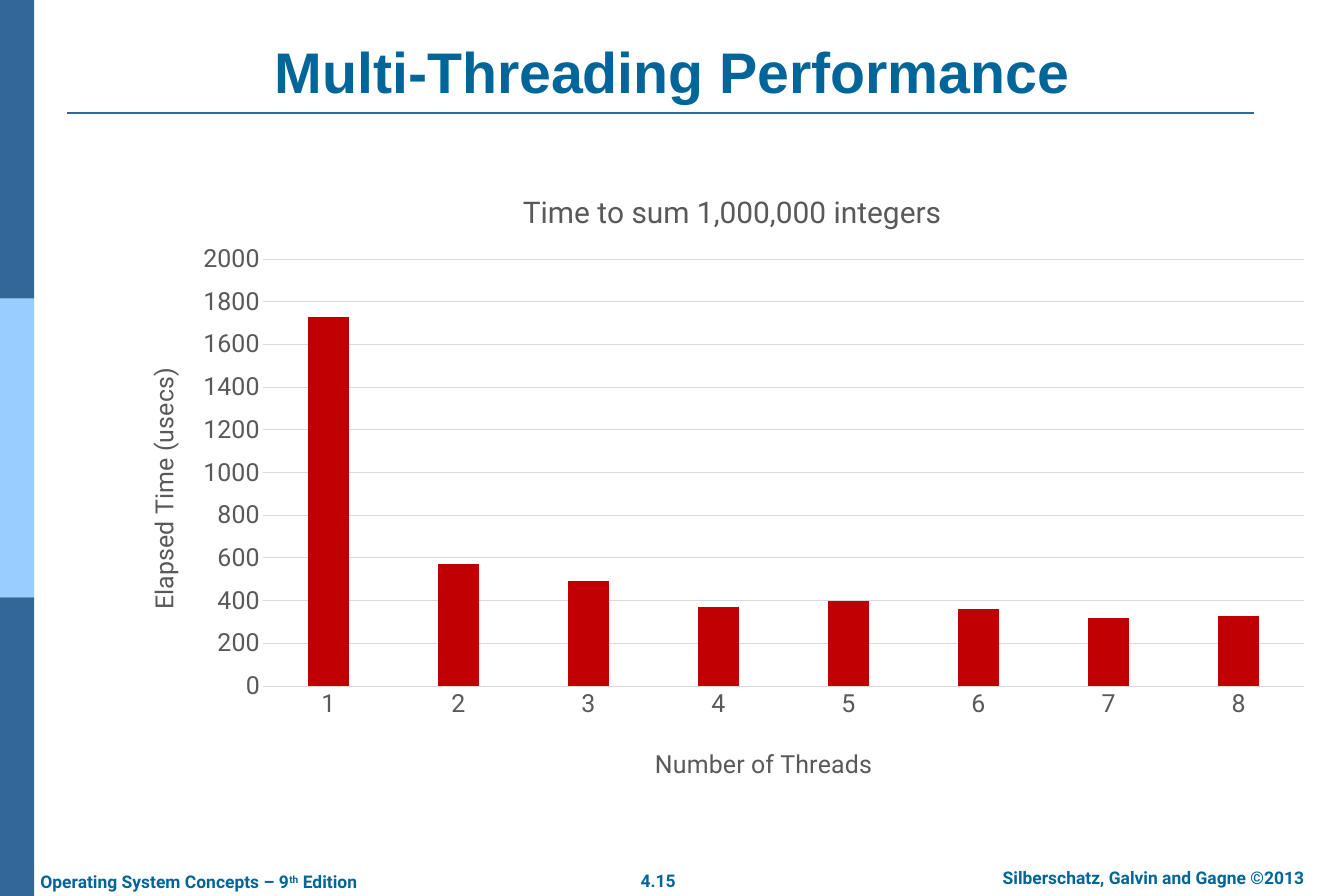
from lxml.etree import SubElement
from pptx import Presentation
from pptx.chart.data import CategoryChartData
from pptx.dml.color import RGBColor
from pptx.enum.chart import XL_CHART_TYPE, XL_TICK_MARK
from pptx.enum.shapes import MSO_CONNECTOR, MSO_SHAPE
from pptx.enum.text import MSO_ANCHOR, PP_ALIGN
from pptx.oxml import parse_xml
from pptx.oxml.ns import nsdecls, qn
from pptx.util import Inches, Pt

NAVY, SKY, TEAL = "336699", "99CCFF", "006699"
BAR_RED, LABEL_GRAY, GRID_GRAY = "C00000", "595959", "D9D9D9"
ELAPSED_TIMES = (1730, 570, 490, 370, 400, 360, 320, 330)


def color(hex_string):
    return RGBColor.from_string(hex_string)


def style_font(font, name, size, hex_color, bold=False):
    font.name = name
    font.size = Pt(size)
    font.bold = bold
    font.color.rgb = color(hex_color)


def style_line(line, hex_color, width):
    line.color.rgb = color(hex_color)
    line.width = Pt(width)


def set_margins(text_frame):
    text_frame.margin_left = text_frame.margin_right = Inches(0.14)
    text_frame.margin_top = text_frame.margin_bottom = Inches(0.07)


def add_side_bands(slide, slide_height):
    band_colors = (NAVY, SKY, NAVY)
    band_height = slide_height // len(band_colors)
    for index, hex_color in enumerate(band_colors):
        band = slide.shapes.add_shape(
            MSO_SHAPE.RECTANGLE, 0, index * band_height, Inches(0.38), band_height)
        band.shadow.inherit = False
        band.fill.solid()
        band.fill.fore_color.rgb = color(hex_color)
        band.line.fill.background()


def add_title_rule(slide):
    rule = slide.shapes.add_connector(
        MSO_CONNECTOR.STRAIGHT, Inches(0.75), Inches(1.26), Inches(14), Inches(1.26))
    style_line(rule.line, NAVY, 1.5)
    SubElement(rule.line._get_or_add_ln().getparent(), qn("a:effectLst"))


def format_title(slide, text):
    title = slide.shapes.title
    title.left, title.top = Inches(0.75), Inches(0.4)
    title.width, title.height = Inches(13.5), Inches(0.84)
    text_frame = title.text_frame
    set_margins(text_frame)
    text_frame.vertical_anchor = MSO_ANCHOR.BOTTOM
    text_frame.text = text
    paragraph = text_frame.paragraphs[0]
    paragraph.alignment = PP_ALIGN.CENTER
    style_font(paragraph.runs[0].font, "Arial", 46, TEAL, bold=True)


def add_footer(slide, left, top, width, runs, alignment, wrap=False):
    """Add footer text; runs are pairs of text and superscript flag."""
    box = slide.shapes.add_textbox(
        Inches(left), Inches(top), Inches(width), Inches(0.38))
    text_frame = box.text_frame
    text_frame.word_wrap = wrap
    set_margins(text_frame)
    paragraph = text_frame.paragraphs[0]
    paragraph.alignment = alignment
    for text, superscript in runs:
        run = paragraph.add_run()
        run.text = text
        style_font(run.font, "Roboto", 14, TEAL, bold=True)
        if superscript:
            run.font._element.set("baseline", "30000")


def set_layout(element, position, size=None):
    """Place a chart title or the inner plot area by fractions of the chart."""
    for layout in element.findall(qn("c:layout")):
        element.remove(layout)
    entries = [("xMode", "edge"), ("yMode", "edge")]
    if size:
        entries.insert(0, ("layoutTarget", "inner"))
    entries += zip("xy", position)
    entries += zip("wh", size or ())
    values = "".join(f'<c:{tag} val="{value}"/>' for tag, value in entries)
    layout = parse_xml(
        f'<c:layout {nsdecls("c")}><c:manualLayout>{values}</c:manualLayout></c:layout>')
    text = element.find(qn("c:tx"))
    if text is None:
        element.insert(0, layout)
    else:
        text.addnext(layout)


def set_chart_title(owner, title, text, size, position):
    """Title a chart or an axis."""
    owner.has_title = True
    title.text_frame.text = text
    run = title.text_frame.paragraphs[0].runs[0]
    style_font(run.font, "Roboto", size, LABEL_GRAY)
    set_layout(title._element, position)


def format_axis(axis, title, position):
    set_chart_title(axis, axis.axis_title, title, 20, position)
    axis.major_tick_mark = axis.minor_tick_mark = XL_TICK_MARK.NONE
    style_font(axis.tick_labels.font, "Roboto", 20, LABEL_GRAY)


def add_time_chart(slide):
    data = CategoryChartData()
    data.categories = [str(n) for n in range(1, len(ELAPSED_TIMES) + 1)]
    data.add_series("Series 1", ELAPSED_TIMES)
    chart = slide.shapes.add_chart(
        XL_CHART_TYPE.COLUMN_CLUSTERED, Inches(1.32), Inches(1.8),
        Inches(13.5), Inches(7.05), data).chart
    style_font(chart.font, "Roboto", 20, "000000")
    chart.has_legend = False
    set_chart_title(chart, chart.chart_title, "Time to sum 1,000,000 integers",
                    24, (0.33, 0.04))

    threads, times = chart.category_axis, chart.value_axis
    format_axis(threads, "Number of Threads", (0.44, 0.92))
    style_line(threads.format.line, GRID_GRAY, 0.75)
    format_axis(times, "Elapsed Time (usecs)", (0.02, 0.32))
    times.minimum_scale, times.maximum_scale, times.major_unit = 0, 2000, 200
    times.format.line.fill.background()
    times.has_major_gridlines = True
    style_line(times.major_gridlines.format.line, GRID_GRAY, 0.75)

    plot = chart.plots[0]
    plot.gap_width, plot.overlap = 219, -27
    plot.vary_by_categories = False
    fill = plot.series[0].format.fill
    fill.solid()
    fill.fore_color.rgb = color(BAR_RED)
    set_layout(plot._element.getparent(), (0.12, 0.155), (0.86, 0.676))


def main():
    presentation = Presentation()
    presentation.slide_width, presentation.slide_height = Inches(15), Inches(10)
    slide = presentation.slides.add_slide(presentation.slide_layouts[5])
    add_side_bands(slide, presentation.slide_height)
    add_title_rule(slide)
    add_footer(slide, 7, 9.64, 0.69, [("4.15", False)], PP_ALIGN.CENTER)
    add_footer(slide, 10.65, 9.61, 4.45,
               [("Silberschatz, Galvin and Gagne ©2013", False)],
               PP_ALIGN.CENTER, wrap=True)
    add_footer(slide, 0.31, 9.65, 4.08,
               [("Operating System Concepts – 9", False), ("th", True),
                (" Edition", False)], PP_ALIGN.LEFT)
    format_title(slide, "Multi-Threading Performance")
    add_time_chart(slide)
    presentation.save("out.pptx")


if __name__ == "__main__":
    main()
